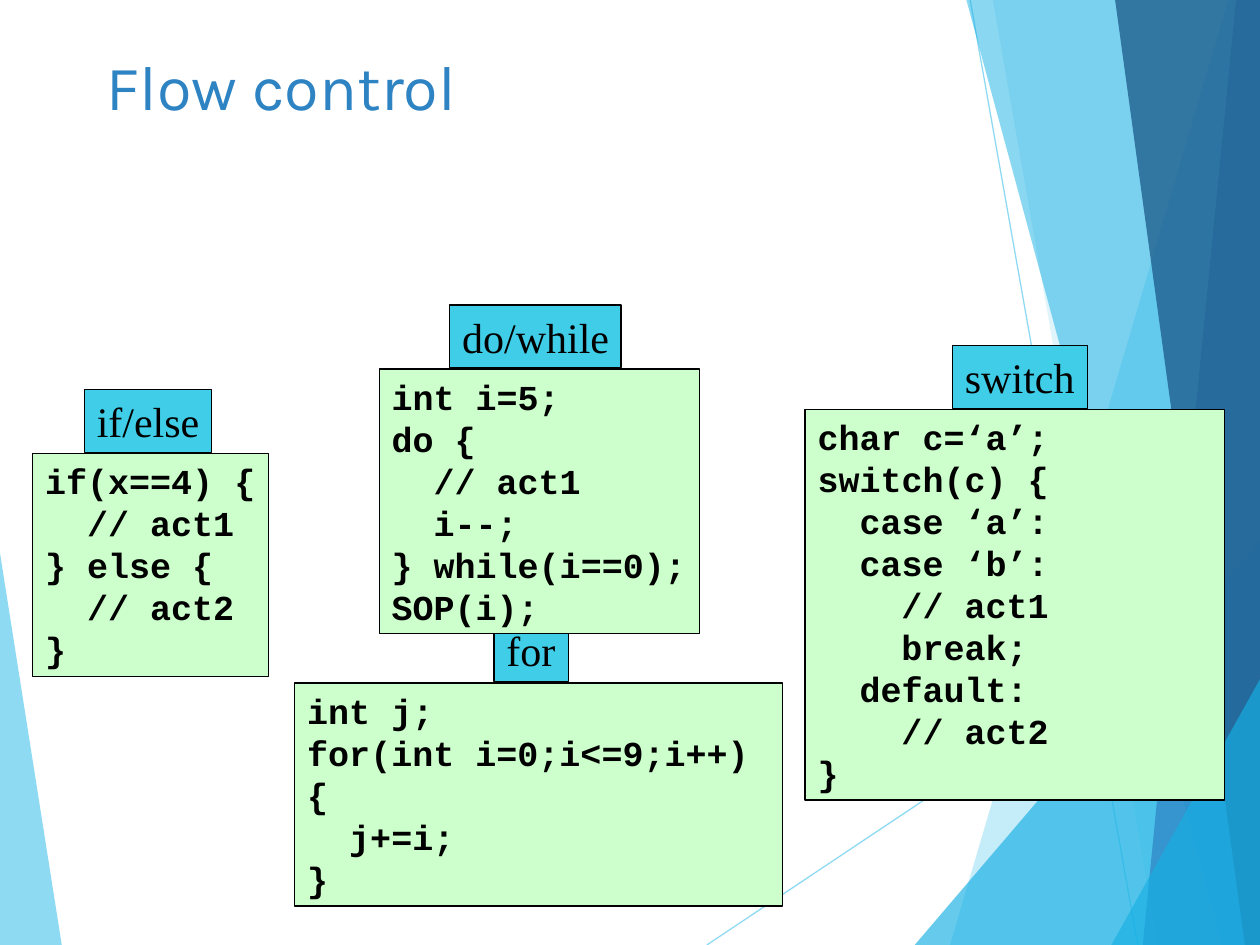
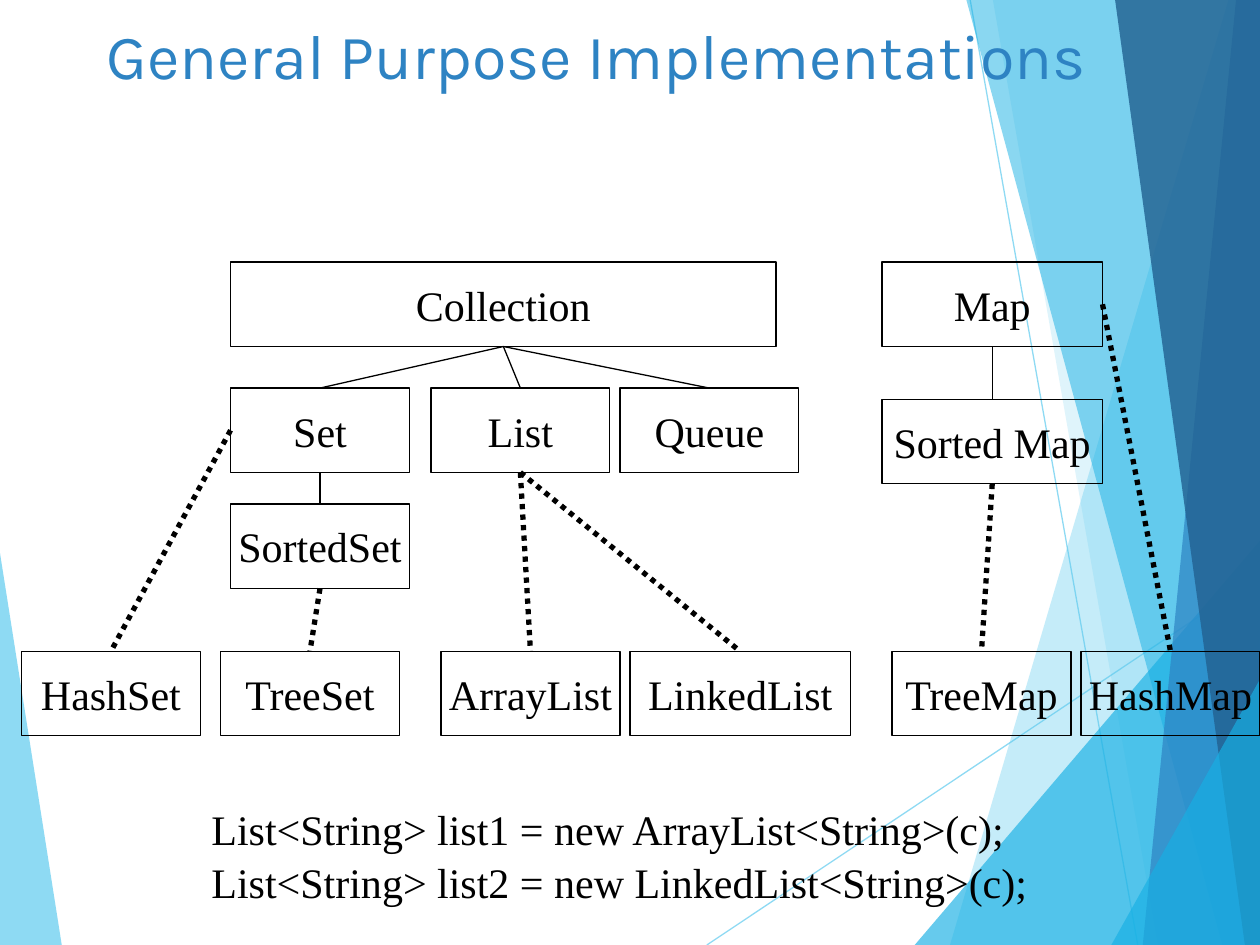
from lxml.etree import SubElement
from pptx import Presentation
from pptx.dml.color import RGBColor as Rgb
from pptx.enum.dml import MSO_LINE as Dash
from pptx.enum.shapes import MSO_CONNECTOR as Conn, MSO_SHAPE as Shape
from pptx.enum.text import MSO_ANCHOR as Anchor, PP_ALIGN as Align
from pptx.oxml.ns import qn
from pptx.util import Inches, Pt

HUES = {
    "sky": "5FCBEF", "aqua": "17B0E4", "blue": "2E83C3", "navy": "236292",
    "label": "3FCDE7", "code": "CCFFCC", "ink": "000000",
}
SERIF, MONO, HEAD = "Times New Roman", "Courier New", "Karla"
WIDE, HIGH = 10, 7.5
TOP, LEFT, BASE, RIGHT = 0, 1, 2, 3
STEP = 1 / 6

RAYS = [((5.61, HIGH), (WIDE, 4.57)), ((7.7, 0), (9.03, HIGH))]
EDGE = ("sky", 70, [(0, 4.39), (0.49, HIGH), (0, HIGH)])
BANDS = [
    ("sky", 36, [(9.75, 0), (7.54, HIGH), (WIDE, HIGH), (WIDE, 0)]),
    ("sky", 20, [(7.88, 0), (9.19, HIGH), (WIDE, HIGH), (WIDE, 0)]),
    ("aqua", 66, [(7.26, HIGH), (WIDE, 4.29), (WIDE, HIGH)]),
    ("aqua", 50, [(7.67, 0), (9.7, HIGH), (WIDE, HIGH), (WIDE, 0)]),
    ("blue", 70, [(9.81, 0), (9.07, HIGH), (WIDE, HIGH), (WIDE, 0)]),
    ("navy", 82, [(8.85, 0), (9.88, HIGH), (WIDE, HIGH), (WIDE, 0)]),
    ("aqua", 66, [(8.82, HIGH), (WIDE, 5.39), (WIDE, HIGH)]),
]

CARDS = [
    ("if/else", 0.41, 1.01, (0.26, 3.6, 1.87, 1.77),
     "if(x==4) {\n  // act1\n} else {\n  // act2\n}"),
    ("do/while", 0.56, 1.36, (3.01, 2.93, 2.54, 2.1),
     "int i=5;\ndo {\n  // act1\n  i--;\n} while(i==0);\nSOP(i);"),
    ("for", 1.58, 0.59, (2.34, 5.42, 3.87, 1.77),
     "int j;\nfor(int i=0;i<=9;i++)\n{\n  j+=i;\n}"),
    ("switch", 1.17, 1.07, (6.39, 3.25, 3.33, 3.1),
     "char c=‘a’;\nswitch(c) {\n  case ‘a’:\n  case ‘b’:\n"
     "    // act1\n    break;\n  default:\n    // act2\n}"),
]

NODES = [
    ("Collection", 1.83, 2.08, 4.33), ("Map", 7, 2.08, 1.75),
    ("Set", 1.83, 3.08, 1.42), ("List", 3.42, 3.08, 1.42),
    ("Queue", 4.92, 3.08, 1.42), ("Sorted Map", 7, 3.17, 1.75),
    ("SortedSet", 1.83, 4, 1.42),
    ("HashSet", 0.17, 5.17, 1.42), ("TreeSet", 1.75, 5.17, 1.42),
    ("ArrayList", 3.5, 5.17, 1.42), ("LinkedList", 5, 5.17, 1.75),
    ("TreeMap", 7.08, 5.17, 1.42), ("HashMap", 8.58, 5.17, 1.42),
]
KIN = [
    ("Collection", "Set"), ("Collection", "List"), ("Collection", "Queue"),
    ("Set", "SortedSet"), ("Map", "Sorted Map"),
]
IMPLS = [
    ("Set", LEFT, "HashSet"), ("SortedSet", BASE, "TreeSet"),
    ("List", BASE, "ArrayList"), ("List", BASE, "LinkedList"),
    ("Sorted Map", BASE, "TreeMap"), ("Map", RIGHT, "HashMap"),
]
USES = [
    "List<String> list1 = new ArrayList<String>(c);",
    "List<String> list2 = new LinkedList<String>(c);",
]


def hue(name):
    """Give the colour of that name."""
    return Rgb.from_string(HUES[name])


def fade(part, alpha):
    """Make the colour found in an XML part see-through."""
    for node in part.iter(qn("a:srgbClr")):
        SubElement(node, qn("a:alpha")).set("val", str(alpha * 1000))


def write(shape, text, font, size, tint="ink", bold=False, align=Align.LEFT):
    """Fill a shape with lines of text, turning leading spaces into indents."""
    frame = shape.text_frame
    frame.word_wrap = align == Align.LEFT
    if frame.word_wrap:
        frame.margin_right = 0
    lines = text.split("\n")
    frame.text = "\n".join(line.lstrip() for line in lines)
    for par, line in zip(frame.paragraphs, lines):
        par.alignment = align
        depth = len(line) - len(line.lstrip())
        if depth:
            par._p.get_or_add_pPr().set("marL", str(Inches(depth * STEP)))
        for run in par.runs:
            run.font.name, run.font.size, run.font.bold = font, Pt(size), bold
            run.font.color.rgb = hue(tint)


def note(slide, box, text, font, size, tint="ink"):
    """Add a plain text box."""
    shape = slide.shapes.add_textbox(*map(Inches, box))
    write(shape, text, font, size, tint)


def panel(slide, box, fill=None, anchor=Anchor.TOP):
    """Add a thin black-edged rectangle."""
    shape = slide.shapes.add_shape(Shape.RECTANGLE, *map(Inches, box))
    shape.shadow.inherit = False
    if fill:
        shape.fill.solid()
        shape.fill.fore_color.rgb = hue(fill)
    else:
        shape.fill.background()
    shape.line.color.rgb, shape.line.width = hue("ink"), Pt(0.75)
    shape.text_frame.vertical_anchor = anchor
    return shape


def stroke(slide, start=(0, 0), end=(0, 0), tint="ink", width=0.75):
    """Add a straight connector without shadow."""
    line = slide.shapes.add_connector(Conn.STRAIGHT, *map(Inches, start + end))
    line.line.color.rgb, line.line.width = hue(tint), Pt(width)
    SubElement(line._element.spPr, qn("a:effectLst"))
    return line


def band(slide, tint, alpha, points):
    """Add one see-through polygon."""
    spots = [(Inches(x), Inches(y)) for x, y in points]
    build = slide.shapes.build_freeform(*spots[0])
    build.add_line_segments(spots[1:])
    shape = build.convert_to_shape()
    shape.shadow.inherit = False
    shape.fill.solid()
    shape.fill.fore_color.rgb = hue(tint)
    shape.line.fill.background()
    fade(shape._element.spPr, alpha)


def start(deck, title, box):
    """Add a slide with the shared backdrop and a title."""
    slide = deck.slides.add_slide(deck.slide_layouts[6])
    band(slide, *EDGE)
    for head, tail in RAYS:
        fade(stroke(slide, head, tail, "sky")._element.spPr, 70)
    for item in BANDS:
        band(slide, *item)
    note(slide, box, title, HEAD, 36, "blue")
    return slide


def label(slide, box, shift, width, text):
    """Place a label on top of a code box."""
    x, y = box[:2]
    tag = panel(slide, (x + shift, y - 0.51, width, 0.5), "label")
    write(tag, text, SERIF, 24)


def flow(deck):
    """Build the slide of control statements."""
    slide = start(deck, "Flow control", (0.75, 0.33, 8.5, 0.75))
    for name, shift, width, box, code in CARDS:
        label(slide, box, shift, width, name)
    for name, shift, width, box, code in CARDS:
        write(panel(slide, box, "code"), code, MONO, 20, bold=True)


def link(slide, head, side, tail, width=0.75):
    """Join a side of one box to the top of another."""
    line = stroke(slide, width=width)
    line.begin_connect(head, side)
    line.end_connect(tail, TOP)
    return line


def tree(deck):
    """Build the slide of collection types."""
    slide = start(deck, "General Purpose Implementations",
                  (0.75, 0.08, 8.5, 1.25))
    nodes = {}
    for name, x, y, width in NODES:
        nodes[name] = panel(slide, (x, y, width, 0.67), anchor=Anchor.MIDDLE)
        write(nodes[name], name, SERIF, 24, align=Align.CENTER)
    for head, tail in KIN:
        link(slide, nodes[head], BASE, nodes[tail])
    for head, side, tail in IMPLS:
        line = link(slide, nodes[head], side, nodes[tail], 3)
        line.line.dash_style = Dash.ROUND_DOT
    for row, text in enumerate(USES):
        note(slide, (1.58, 6.33 + row * 0.42, 6.67, 0.5), text, SERIF, 24)


def main():
    """Build and save the deck."""
    deck = Presentation()
    deck.slide_width, deck.slide_height = Inches(WIDE), Inches(HIGH)
    flow(deck)
    tree(deck)
    deck.save("out.pptx")


if __name__ == "__main__":
    main()
